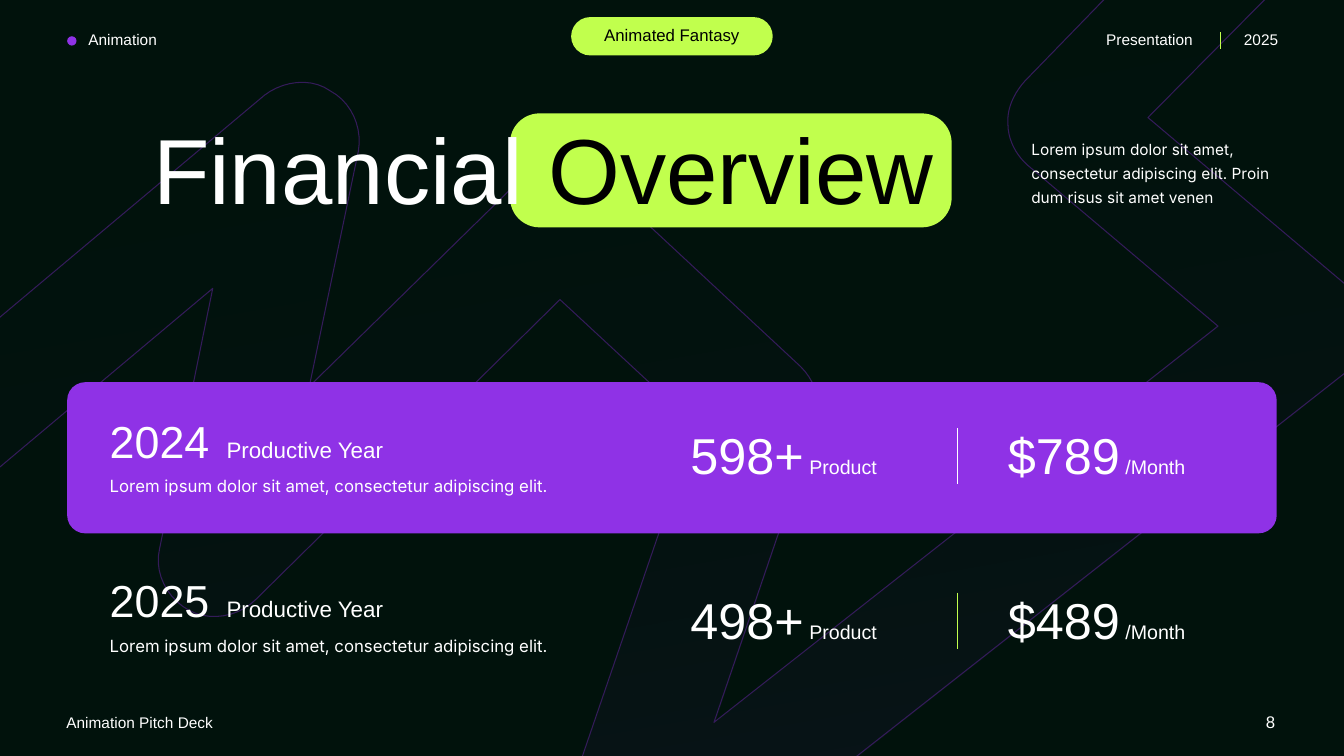
from lxml import etree
from pptx import Presentation
from pptx.dml import color
from pptx.enum import shapes, text
from pptx.oxml import ns
from pptx.util import Pt

LIME, PURPLE, NIGHT, WHITE, BLACK = "C1FF4D", "8F32E6", "01120C", "FFFFFF", "000000"
OUTLINE = "341B5A"
LEFT, CENTER, RIGHT = text.PP_ALIGN.LEFT, text.PP_ALIGN.CENTER, text.PP_ALIGN.RIGHT
ROUNDED = shapes.MSO_SHAPE.ROUNDED_RECTANGLE

# Zigzag ribbon: two numbers end a straight line, six describe a curve
RIBBON_START = (799, -11)
RIBBON = [
    (914, -11), (820, 84), (962, 204),
    (971, 212, 976, 224, 976, 236), (976, 248, 970, 260, 960, 267),
    (453, 665),
    (445, 670, 436, 673, 428, 673), (419, 673, 411, 671, 404, 665),
    (390, 655, 384, 636, 389, 619),
    (497, 304), (400, 214), (183, 428),
    (170, 441, 150, 444, 135, 436), (119, 427, 110, 409, 114, 392),
    (152, 206), (-16, 347), (-16, 240), (189, 68),
    (202, 58, 222, 55, 236, 65), (251, 73, 259, 91, 256, 108),
    (221, 276), (371, 129),
    (387, 113, 411, 113, 428, 128),
    (572, 262),
    (583, 273, 588, 289, 582, 305),
    (510, 516), (870, 233), (734, 118),
    (726, 111, 720, 100, 720, 89), (719, 78, 724, 67, 732, 58),
]


def rgb(value):
    return color.RGBColor.from_string(value)


def add_text(page, box, spans, size=11, fill=WHITE, font="Arial", align=LEFT, spacing=None):
    """Spans are (wording, size, colour); None keeps the paragraph's value."""
    frame = page.shapes.add_textbox(*map(Pt, box)).text_frame
    frame.word_wrap = True
    frame.auto_size = text.MSO_AUTO_SIZE.SHAPE_TO_FIT_TEXT
    para = frame.paragraphs[0]
    para.alignment = align
    if spacing:
        para.line_spacing = spacing
    para.font.name = font
    para.font.size = Pt(size)
    para.font.color.rgb = rgb(fill)
    for wording, span_size, span_fill in spans:
        span = para.add_run()
        span.text = wording
        if span_size:
            span.font.size = Pt(span_size)
        if span_fill:
            span.font.color.rgb = rgb(span_fill)


def add_label(page, box, wording, **style):
    add_text(page, box, [(wording, None, None)], **style)


def add_block(page, kind, box, fill, rounding=None):
    block = page.shapes.add_shape(kind, *map(Pt, box))
    block.shadow.inherit = False
    block.fill.solid()
    block.fill.fore_color.rgb = rgb(fill)
    block.line.fill.background()
    if rounding is not None:
        block.adjustments[0] = rounding


def add_divider(page, left, top, height, fill):
    line = page.shapes.add_connector(
        shapes.MSO_CONNECTOR.STRAIGHT, Pt(left), Pt(top), Pt(left), Pt(top + height))
    line.line.color.rgb = rgb(fill)
    line.line.width = Pt(1)
    etree.SubElement(line._element.spPr, ns.qn("a:effectLst"))


def curve_points(start, curve, steps=10):
    corners = [start, curve[:2], curve[2:4], curve[4:]]
    for step in range(1, steps + 1):
        t = step / steps
        weights = ((1 - t) ** 3, 3 * t * (1 - t) ** 2, 3 * t * t * (1 - t), t ** 3)
        yield tuple(sum(w * corner[axis] for w, corner in zip(weights, corners))
                    for axis in (0, 1))


def draw_ribbon(page, box):
    left, top = box[:2]
    points = [RIBBON_START]
    for segment in RIBBON:
        points.extend([segment] if len(segment) == 2 else curve_points(points[-1], segment))
    places = [(Pt(left + x), Pt(top + y)) for x, y in points]
    builder = page.shapes.build_freeform(*places[0])
    builder.add_line_segments(places[1:], close=True)
    ribbon = builder.convert_to_shape()
    ribbon.shadow.inherit = False
    # Faint gradient that gains colour towards the bottom
    ribbon.fill.gradient()
    ribbon.fill.gradient_angle = 280
    for stop, fill in zip(ribbon.fill.gradient_stops, (NIGHT, PURPLE)):
        stop.color.rgb = rgb(fill)
    for tint, alpha in zip(ribbon._element.spPr.iter(ns.qn("a:srgbClr")), ("0", "9000")):
        etree.SubElement(tint, ns.qn("a:alpha")).set("val", alpha)
    ribbon.line.color.rgb = rgb(OUTLINE)
    ribbon.line.width = Pt(0.75)


def draw_header(page, box):
    left, top, width, height = box
    right = left + width
    add_block(page, shapes.MSO_SHAPE.OVAL, (left, top + 13.7, 6.7, 6.7), PURPLE)
    add_label(page, (left + 8, top + 6, 92, 21), "Animation")
    # Badge
    middle = left + width / 2
    add_block(page, ROUNDED, (middle - 72, top, 144, height), LIME, 0.5)
    add_label(page, (middle - 58, top + 2.2, 116, 22), "Animated Fantasy",
              size=12, fill=BLACK, align=CENTER)
    # Right-hand labels
    add_label(page, (right - 129, top + 6, 84, 21), "Presentation")
    add_divider(page, right - 40, top + 10.6, 12, LIME)
    add_label(page, (right - 36.5, top + 6, 44.6, 21), "2025", align=RIGHT)


def draw_title(page, box):
    left, top, width, height = box
    add_block(page, ROUNDED, (left + 262, top, 315.5, height), LIME, 0.26)
    add_text(page, (left, top - 4.2, 593, 87),
             [("Financial ", None, None), ("Overview", None, BLACK)], size=66)
    add_label(page, (left + width - 197, top + 11.6, 197, 58),
              "Lorem ipsum dolor sit amet, consectetur adipiscing elit. "
              "Proin dum risus sit amet venen", font="Inter", spacing=1.3)


def draw_year(page, box, year, products, price, divider, figures_drop, panel=None):
    left, top = box[:2]
    if panel:
        add_block(page, ROUNDED, box, panel, 0.12)
    # Year and description
    add_text(page, (left + 23.3, top + 18.6, 344, 46),
             [(year, 32, None), (" ", 28, None), (" Productive Year", 16, None)])
    add_label(page, (left + 23.3, top + 59.2, 335, 24.5),
              "Lorem ipsum dolor sit amet, consectetur adipiscing elit.",
              size=12, font="Inter", spacing=1.3)
    # Figures
    figures_top = top + figures_drop
    for offset, figure, unit in ((438, products, " Product"), (664.8, price, " /Month")):
        add_text(page, (left + offset, figures_top, 190, 51),
                 [(figure, 36, None), (unit, 14, None)])
    add_divider(page, left + 636, figures_top + 6.5, 40, divider)


def draw_footer(page, box):
    left, top, width, height = box
    add_label(page, (left, top + 1.2, 191, height), "Animation Pitch Deck")
    add_label(page, (left + width - 49, top, 49, height), "8", size=12, align=RIGHT)


def main():
    deck = Presentation()
    deck.slide_width, deck.slide_height = Pt(960), Pt(540)
    page = deck.slides.add_slide(deck.slide_layouts[6])
    page.background.fill.solid()
    page.background.fill.fore_color.rgb = rgb(NIGHT)

    draw_ribbon(page, (0, 0, 960, 540))
    draw_header(page, (48, 12.2, 864, 27.4))
    draw_title(page, (102.3, 81, 824.3, 81.4))
    draw_year(page, (48, 273, 864, 108), "2024", "598+", "$789", WHITE, 26.5, PURPLE)
    draw_year(page, (48, 387.2, 864, 108), "2025", "498+", "$489", LIME, 29.7)
    draw_footer(page, (40.3, 504.9, 877.7, 21.5))
    deck.save("out.pptx")


if __name__ == "__main__":
    main()
